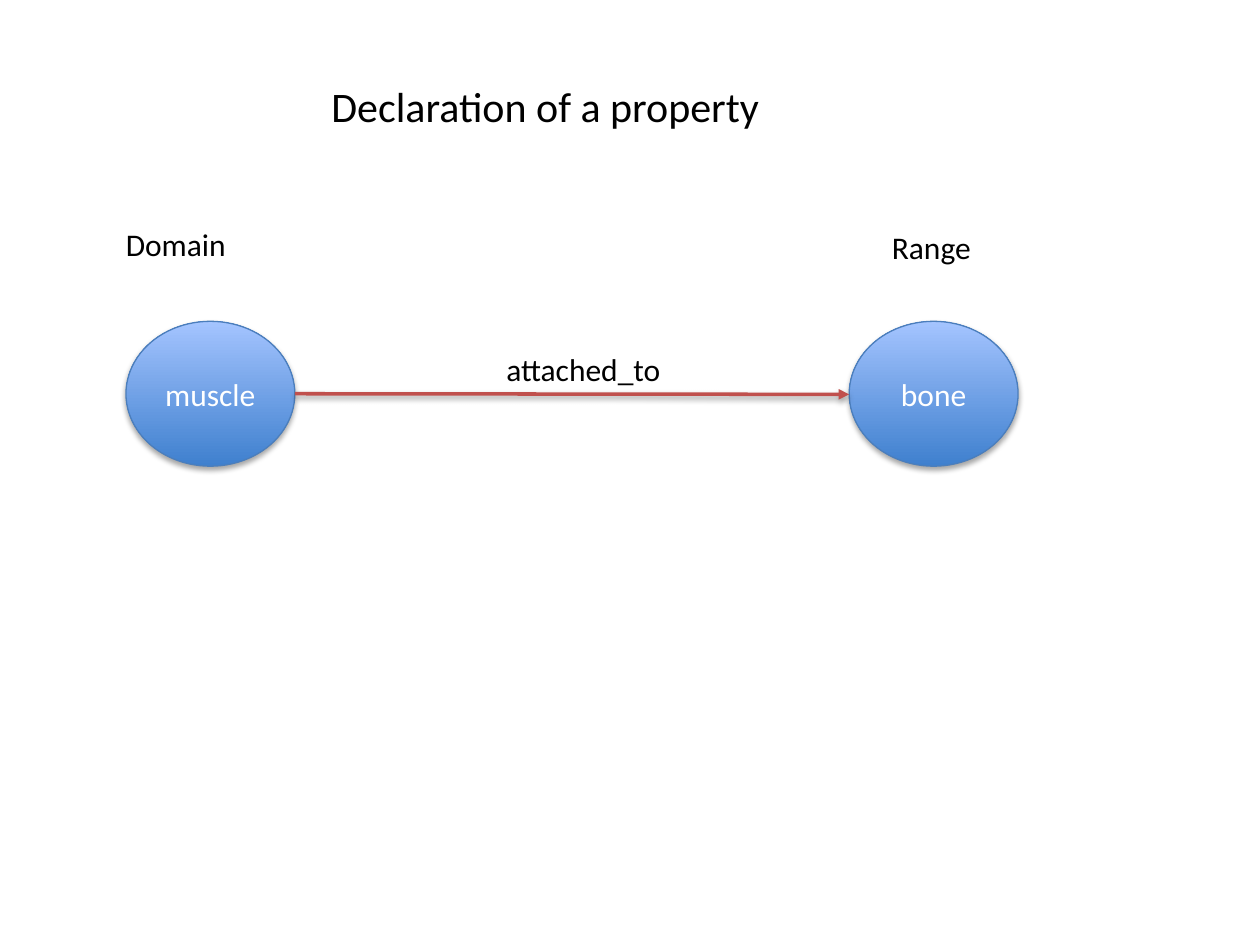
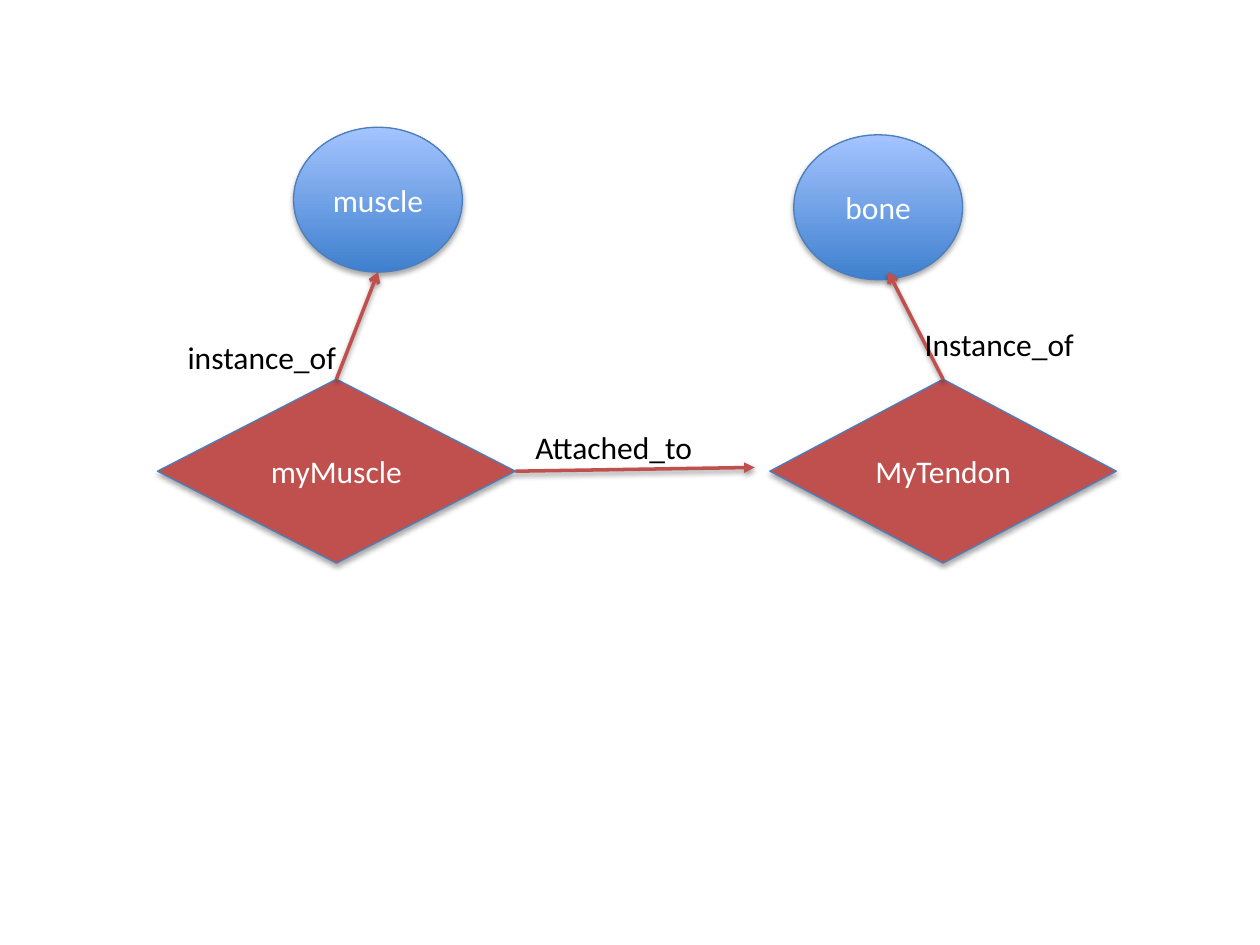
from lxml.etree import SubElement
from pptx import Presentation
from pptx.dml.color import RGBColor
from pptx.enum.shapes import MSO_CONNECTOR as Link, MSO_SHAPE as Shape
from pptx.enum.text import MSO_ANCHOR as Anchor, MSO_AUTO_SIZE as AutoSize, PP_ALIGN as Align
from pptx.oxml.ns import qn
from pptx.util import Inches, Pt

FONT = "Calibri"
BLACK, WHITE, RED, OUTLINE = "000000", "FFFFFF", "C0504D", "4B7EBC"
CLASS_GRADIENT = ("3F80CE", "A4C4FF")  # bottom, top
CLASS_SIZE = (1.34, 1.15)
INSTANCE_HEIGHT = 1.46
LABEL_HEIGHT = 0.4
TOP, RIGHT = 0, 3  # connection sites

# Classes: name, left, top. Instances: name, left, top, width.
# Relations: start node, side, end point, arrowhead. Labels: text, left, top, width.
DIAGRAMS = [
    {
        "title": ("Declaration of a property", 2.53, 0.59, 3.65, 0.5),
        "classes": [("muscle", 1, 2.55), ("bone", 6.74, 2.55)],
        "instances": [],
        "relations": [("muscle", RIGHT, (6.74, 3.13), "triangle")],
        "labels": [("attached_to", 3.92, 2.73, 1.44),
                   ("Domain", 0.9, 1.74, 1),
                   ("Range", 6.98, 1.76, 0.84)],
    },
    {
        "title": None,
        "classes": [("muscle", 2.33, 1.01), ("bone", 6.3, 1.07)],
        "instances": [("myMuscle", 1.25, 3.01, 2.84), ("MyTendon", 6.11, 3.01, 2.75)],
        "relations": [("myMuscle", RIGHT, (5.99, 3.71), "triangle"),
                      ("myMuscle", TOP, (3, 2.16), "arrow"),
                      ("MyTendon", TOP, (7.05, 2.16), "arrow")],
        "labels": [("Attached_to", 4.15, 3.35, 1.47),
                   ("Instance_of", 7.24, 2.53, 1.41),
                   ("instance_of", 1.39, 2.63, 1.41)],
    },
]


def color(value):
    return RGBColor.from_string(value)


def write(frame, text, size, ink, align):
    paragraph = frame.paragraphs[0]
    paragraph.alignment = align
    run = paragraph.add_run()
    run.text = text
    run.font.name, run.font.size = FONT, Pt(size)
    run.font.color.rgb = color(ink)


def write_fitted(frame, text, size):
    """Black, left-aligned text on one line in a frame that fits it."""
    frame.word_wrap = False
    frame.auto_size = AutoSize.SHAPE_TO_FIT_TEXT
    frame.vertical_anchor = Anchor.TOP
    write(frame, text, size, BLACK, Align.LEFT)


def add_shadow(effects, opacity, distance):
    shadow = SubElement(effects, qn("a:outerShdw"), blurRad=str(Pt(3.1)),
                        dist=str(Pt(distance)), dir="5400000", rotWithShape="0")
    black = SubElement(shadow, qn("a:srgbClr"), val=BLACK)
    SubElement(black, qn("a:alpha"), val=str(opacity * 1000))


def add_node(slide, preset, name, left, top, width, height):
    node = slide.shapes.add_shape(preset, *map(Inches, (left, top, width, height)))
    if preset == Shape.OVAL:
        node.fill.gradient()
        node.fill.gradient_angle = 90
        for stop, shade in zip(node.fill.gradient_stops, CLASS_GRADIENT):
            stop.color.rgb = color(shade)
    else:
        node.fill.solid()
        node.fill.fore_color.rgb = color(RED)
    node.line.color.rgb, node.line.width = color(OUTLINE), Pt(0.75)
    node.shadow.inherit = False
    add_shadow(node.element.spPr.find(qn("a:effectLst")), 35, 1.8)
    node.text_frame.vertical_anchor = Anchor.MIDDLE
    write(node.text_frame, name, 18, WHITE, Align.CENTER)
    return node


def add_relation(slide, node, side, end, head):
    if side == TOP:
        start = node.left + node.width // 2, node.top
    else:
        start = node.left + node.width, node.top + node.height // 2
    arrow = slide.shapes.add_connector(Link.STRAIGHT, *start, *map(Inches, end))
    if node.auto_shape_type == Shape.DIAMOND:
        arrow.begin_connect(node, side)
    arrow.line.color.rgb, arrow.line.width = color(RED), Pt(2)
    properties = arrow.element.spPr
    SubElement(properties.find(qn("a:ln")), qn("a:tailEnd"), type=head)
    add_shadow(SubElement(properties, qn("a:effectLst")), 38, 1.6)


def add_title(slide, text, *box):
    title = slide.shapes.title
    title.left, title.top, title.width, title.height = map(Inches, box)
    write_fitted(title.text_frame, text, 24)


def add_label(slide, text, left, top, width):
    label = slide.shapes.add_textbox(*map(Inches, (left, top, width, LABEL_HEIGHT)))
    write_fitted(label.text_frame, text, 18)


def main():
    deck = Presentation()
    deck.slide_width, deck.slide_height = Inches(10), Inches(7.5)
    title_only, blank = deck.slide_layouts[5], deck.slide_layouts[6]

    for diagram in DIAGRAMS:
        slide = deck.slides.add_slide(title_only if diagram["title"] else blank)
        if diagram["title"]:
            add_title(slide, *diagram["title"])

        # Classes are ovals, instances are diamonds
        nodes = {}
        for name, left, top in diagram["classes"]:
            nodes[name] = add_node(slide, Shape.OVAL, name, left, top, *CLASS_SIZE)
        for name, left, top, width in diagram["instances"]:
            nodes[name] = add_node(slide, Shape.DIAMOND, name, left, top, width, INSTANCE_HEIGHT)

        # Arrows and their labels
        for start, side, end, head in diagram["relations"]:
            add_relation(slide, nodes[start], side, end, head)
        for label in diagram["labels"]:
            add_label(slide, *label)

    deck.save("out.pptx")


if __name__ == "__main__":
    main()
